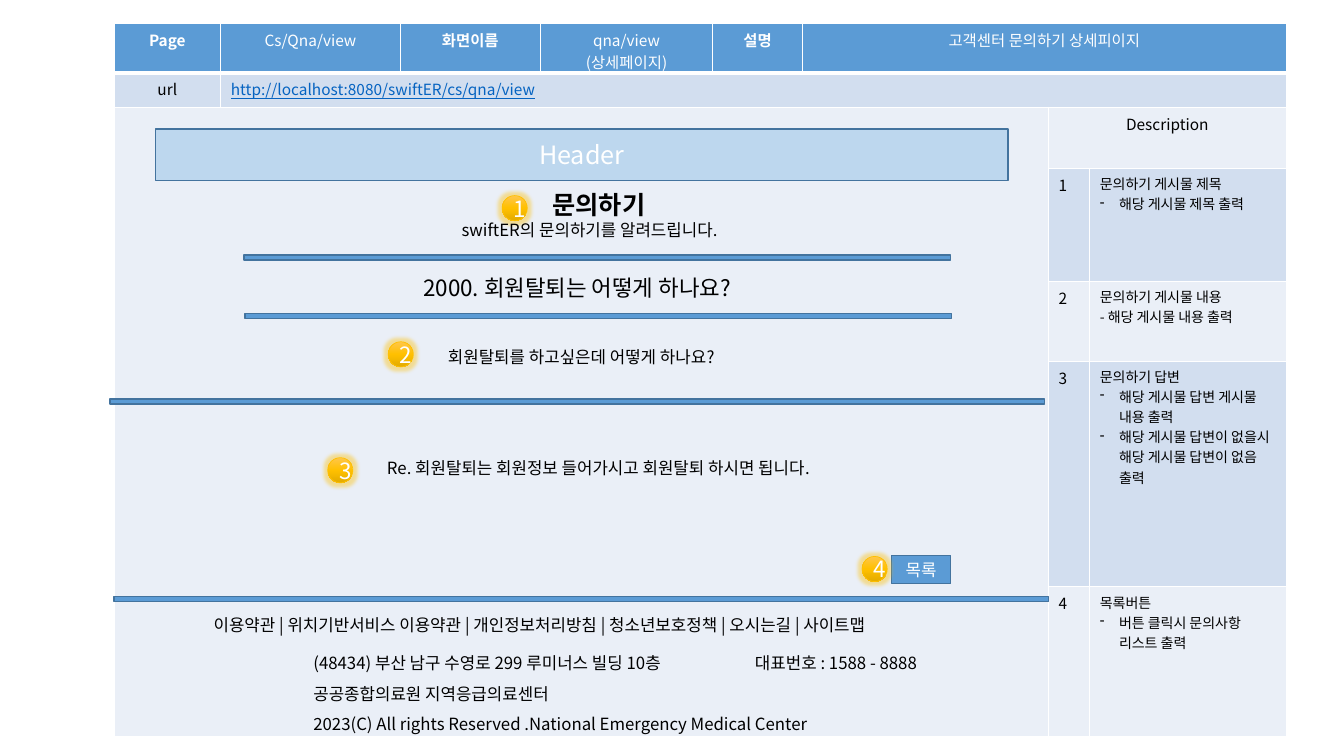
from pptx import Presentation
from pptx.dml.color import RGBColor
from pptx.enum.shapes import MSO_SHAPE
from pptx.enum.text import MSO_ANCHOR, MSO_AUTO_SIZE, PP_ALIGN
from pptx.oxml import parse_xml
from pptx.oxml.ns import qn
from pptx.util import Inches, Pt
from lxml.etree import SubElement

FONT = "Noto Sans CJK KR"
BLUE, BLUE_EDGE, PALE_BLUE = "5B9BD5", "43739E", "BDD7EE"
BAND_DARK, BAND_LIGHT, GOLD = "D2DEEF", "EAEFF7", "FFC000"
BLACK, WHITE, LINK = "000000", "FFFFFF", "0563C1"
NAMESPACE = 'xmlns:a="http://schemas.openxmlformats.org/drawingml/2006/main"'


def write(frame, text, size=12, color=BLACK, bold=False, underline=False,
          center=False, bullet=False, spacing=None, tab=None):
    """Fill the first free paragraph of a text frame."""
    paragraph = frame.paragraphs[-1]
    if paragraph.runs:
        paragraph = frame.add_paragraph()
    paragraph.alignment = PP_ALIGN.CENTER if center else PP_ALIGN.LEFT
    if spacing:
        paragraph.line_spacing = spacing
    properties = paragraph._p.get_or_add_pPr()
    if bullet:
        properties.set("marL", str(Inches(0.19)))
        properties.set("indent", str(-Inches(0.19)))
        SubElement(properties, qn("a:buChar"), char="-")
    if tab:
        tabs = SubElement(properties, qn("a:tabLst"))
        SubElement(tabs, qn("a:tab"), pos=str(Inches(tab)), algn="l")
    run = paragraph.add_run()
    run.text = text
    font = run.font
    font.name, font.size = FONT, Pt(size)
    font.bold, font.underline = bold, underline
    font.color.rgb = RGBColor.from_string(color)
    SubElement(run._r.get_or_add_rPr(), qn("a:ea"), typeface=FONT)


def add_panel(left, top, width, height, kind=MSO_SHAPE.RECTANGLE,
              fill=BLUE, line=BLUE_EDGE, weight=1):
    shape = slide.shapes.add_shape(kind, Inches(left), Inches(top),
                                   Inches(width), Inches(height))
    shape.shadow.inherit = False
    if fill:
        shape.fill.solid()
        shape.fill.fore_color.rgb = RGBColor.from_string(fill)
    shape.line.color.rgb = RGBColor.from_string(line)
    shape.line.width = Pt(weight)
    shape.text_frame.vertical_anchor = MSO_ANCHOR.MIDDLE
    return shape


presentation = Presentation()
presentation.slide_width, presentation.slide_height = Inches(13.33), Inches(7.5)
slide = presentation.slides.add_slide(presentation.slide_layouts[6])

# Specification table
columns = [1.06, 1.78, 1.39, 1.71, 0.89, 2.44, 0.41, 1.95]
rows = [0.48, 0.34, 0.61, 1.12, 0.79, 2.24, 1.49]
table = slide.shapes.add_table(len(rows), len(columns), Inches(1.13), Inches(0.23),
                               Inches(sum(columns)), Inches(sum(rows))).table
for column, width in zip(table.columns, columns):
    column.width = Inches(width)
for row, height in zip(table.rows, rows):
    row.height = Inches(height)

# Cell borders and banded fills
for row_number, row in enumerate(table.rows):
    for cell in row.cells:
        properties = cell._tc.get_or_add_tcPr()
        for side in ("L", "R", "T", "B"):
            heavy = (row_number, side) in ((0, "B"), (1, "T"))
            border = SubElement(properties, qn(f"a:ln{side}"), w=str(Pt(3 if heavy else 1)))
            color = SubElement(border, qn("a:solidFill"))
            SubElement(color, qn("a:srgbClr"), val=WHITE)
        band = BAND_DARK if row_number % 2 else BAND_LIGHT
        cell.fill.solid()
        cell.fill.fore_color.rgb = RGBColor.from_string(band if row_number else BLUE)
        if row_number == 0:
            cell.margin_bottom = 0

# Merged areas: first and last cell
for first, last in [((0, 5), (0, 7)), ((1, 1), (1, 7)), ((2, 0), (6, 5)), ((2, 6), (2, 7))]:
    table.cell(*first).merge(table.cell(*last))

# Page header rows
headings = [["Page"], ["Cs/Qna/view"], ["화면이름"], ["qna/view", "(상세페이지)"],
            ["설명"], ["고객센터 문의하기 상세피이지"]]
for column, lines in enumerate(headings):
    for line in lines:
        write(table.cell(0, column).text_frame, line, size=11, color=WHITE,
              bold=column % 2 == 0, center=True)
write(table.cell(1, 0).text_frame, "url", size=11, center=True)
write(table.cell(1, 1).text_frame, "http://localhost:8080/swiftER/cs/qna/view",
      size=11, color=LINK, underline=True)

# Description rows: title, lines, bulleted or not
write(table.cell(2, 6).text_frame, "Description", size=11, center=True)
descriptions = [
    ("문의하기 게시물 제목", ["해당 게시물 제목 출력"], True),
    ("문의하기 게시물 내용", ["- 해당 게시물 내용 출력"], False),
    ("문의하기 답변", ["해당 게시물 답변 게시물 내용 출력",
                  "해당 게시물 답변이 없을시 해당 게시물 답변이 없음 출력"], True),
    ("목록버튼", ["버튼 클릭시 문의사항 리스트 출력"], True),
]
for number, (title, lines, bullet) in enumerate(descriptions, 1):
    write(table.cell(number + 2, 6).text_frame, str(number), size=11)
    frame = table.cell(number + 2, 7).text_frame
    write(frame, title, size=10)
    for line in lines:
        write(frame, line, size=10, bullet=bullet)

# Divider bars
for left, top, width in [(2.42, 2.53, 7.01), (2.43, 3.11, 7.01),
                         (1.09, 3.96, 9.27), (1.13, 5.92, 9.27)]:
    add_panel(left, top, width, 0.05)

# Header banner and list button
banner = add_panel(1.54, 1.28, 8.46, 0.51, fill=PALE_BLUE)
write(banner.text_frame, "Header", size=18, color=WHITE, center=True)
button = add_panel(8.84, 5.51, 0.59, 0.28)
write(button.text_frame, "목록", color=WHITE, center=True)

# Glowing number markers
for number, (left, top) in enumerate([(4.98, 1.94), (3.85, 3.39), (3.25, 4.54), (8.55, 5.52)], 1):
    marker = add_panel(left, top, 0.25, 0.25, MSO_SHAPE.OVAL, fill=None, line=GOLD, weight=0.5)
    stops = "".join(f'<a:gs pos="{position}000"><a:srgbClr val="{color}"/></a:gs>'
                    for position, color in [(0, "FFC64B"), (50, GOLD), (100, "E3AB00")])
    properties = marker._element.spPr
    properties.find(qn("a:prstGeom")).addnext(parse_xml(
        f'<a:gradFill {NAMESPACE} rotWithShape="1"><a:gsLst>{stops}</a:gsLst>'
        '<a:lin ang="5400000" scaled="0"/></a:gradFill>'))
    properties.find(qn("a:effectLst")).append(parse_xml(
        f'<a:glow {NAMESPACE} rad="63500"><a:srgbClr val="{GOLD}">'
        '<a:alpha val="40000"/></a:srgbClr></a:glow>'))
    write(marker.text_frame, str(number), size=16, color=WHITE, center=True)

# Free text: position, wrapping, paragraphs with their format
footer = dict(spacing=1.5)
texts = [
    ((4.48, 1.83, 2.92, 0.61), False, [
        ("문의하기", dict(size=18, bold=True, center=True)),
        ("swiftER의 문의하기를 알려드립니다.", {})]),
    ((4.1, 2.67, 3.97, 0.37), True, [("2000. 회원탈퇴는 어떻게 하나요?", dict(size=16))]),
    ((2.35, 3.39, 6.83, 0.3), True, [
        ("회원탈퇴를 하고싶은데 어떻게 하나요?", dict(center=True))]),
    ((2.52, 4.49, 6.83, 0.3), True, [
        ("Re. 회원탈퇴는 회원정보 들어가시고 회원탈퇴 하시면 됩니다.", dict(center=True))]),
    ((2.02, 6.05, 7.41, 0.3), True, [
        ("이용약관 | 위치기반서비스 이용약관 | 개인정보처리방침 | 청소년보호정책 | 오시는길 | 사이트맵", {})]),
    ((3.01, 6.33, 6.97, 1.01), True, [
        ("(48434) 부산 남구 수영로 299 루미너스 빌딩 10층\t대표번호 : 1588 - 8888",
         dict(tab=4.38, **footer)),
        ("공공종합의료원 지역응급의료센터", footer),
        ("2023(C) All rights Reserved .National Emergency Medical Center", footer)]),
]
for place, wrap, paragraphs in texts:
    frame = slide.shapes.add_textbox(*map(Inches, place)).text_frame
    frame.word_wrap = wrap
    frame.auto_size = MSO_AUTO_SIZE.SHAPE_TO_FIT_TEXT
    for text, style in paragraphs:
        write(frame, text, **style)

presentation.save("out.pptx")
